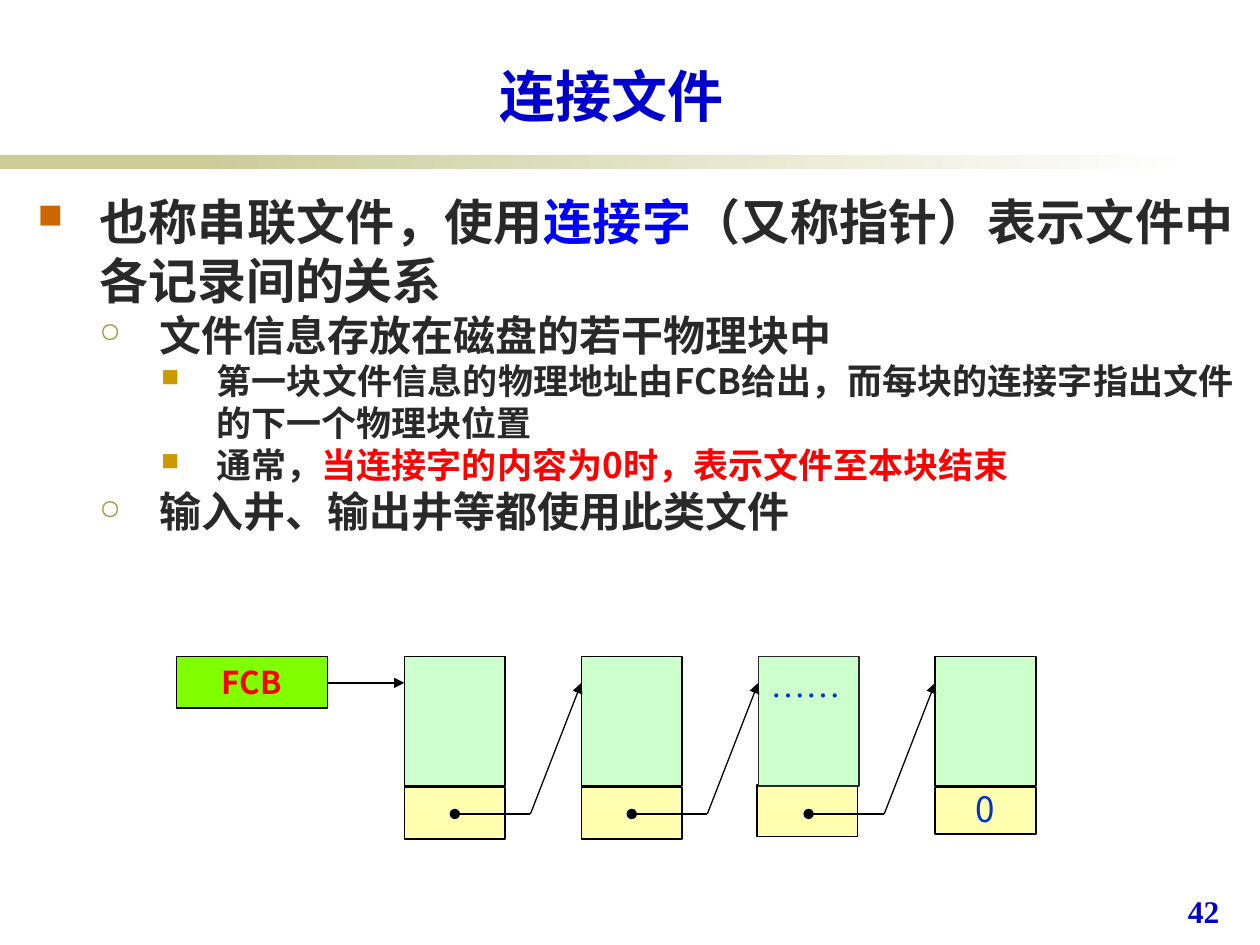
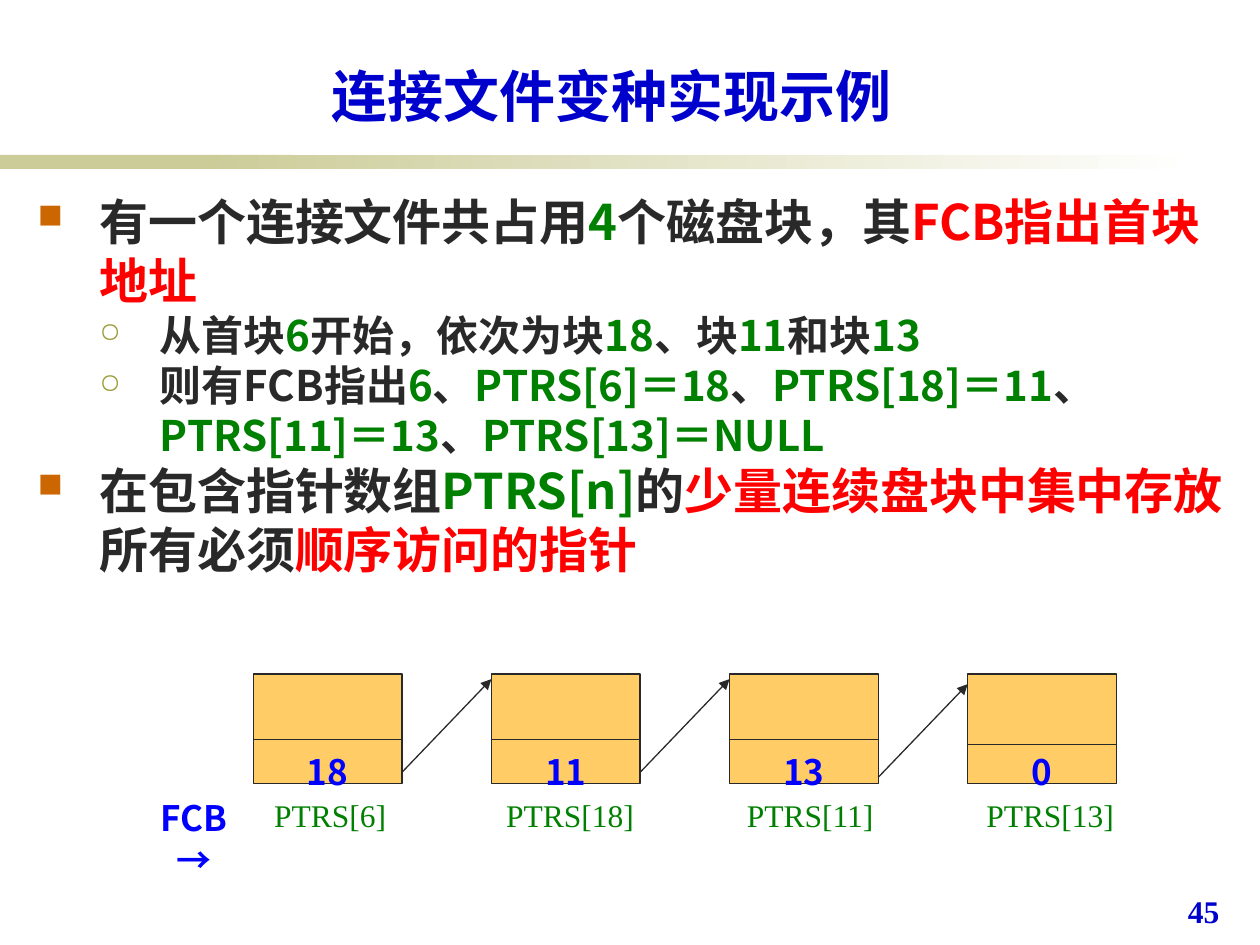
from pptx import Presentation
from pptx.dml.color import RGBColor
from pptx.enum.shapes import MSO_CONNECTOR as Connector, MSO_SHAPE as Preset
from pptx.enum.text import MSO_ANCHOR as Anchor, PP_ALIGN as Align
from pptx.oxml.ns import qn
from pptx.util import Inches, Pt
from lxml.etree import SubElement

SANS, SERIF = "Noto Sans CJK JP", "Times New Roman"
WIDTH, HEIGHT = 10, 7.5
COLORS = {
    "band": "CCCC99", "white": "FFFFFF", "title": "0000CC", "text": "292929",
    "blue": "0000FF", "red": "FF0000", "green": "008000", "black": "000000",
    "record": "CCFFCC", "link": "FFFFB0", "fcb": "80FF00", "note": "0033CC",
    "block": "FFCC66", "square": "CC6600", "circle": "999933", "small": "CC9900",
}
LEVELS = [
    {"size": 28, "left": 0.49, "hang": 0.49, "bullet": "■", "color": "square", "percent": 70},
    {"size": 24, "left": 0.97, "hang": 0.48, "bullet": "○", "color": "circle", "percent": 65},
    {"size": 20, "left": 1.42, "hang": 0.44, "bullet": "■", "color": "small", "percent": 70},
]

LINKED_TITLE, LINKED_NUMBER = "连接文件", "42"
LINKED_BODY = [
    (0, [("也称串联文件，使用", "text"), ("连接字", "blue"),
         ("（又称指针）表示文件中各记录间的关系", "text")]),
    (1, [("文件信息存放在磁盘的若干物理块中", "text")]),
    (2, [("第一块文件信息的物理地址由FCB给出，而每块的连接字指出文件的下一个物理块位置", "text")]),
    (2, [("通常，", "text"), ("当连接字的内容为0时，表示文件至本块结束", "red")]),
    (1, [("输入井、输出井等都使用此类文件", "text")]),
]
RECORDS = [
    {"text": "", "link": "", "shift": 0, "height": 0.41, "line": "black"},
    {"text": "", "link": "", "shift": 0, "height": 0.41, "line": "black"},
    {"text": "……", "link": "", "shift": -0.01, "height": 0.41, "line": "text"},
    {"text": "", "link": "0", "shift": 0, "height": 0.37, "line": "black"},
]

VARIANT_TITLE, VARIANT_NUMBER = "连接文件变种实现示例", "45"
VARIANT_BODY = [
    (0, [("有一个连接文件共占用", "text"), ("4", "green"), ("个磁盘块，其", "text"),
         ("FCB指出首块地址", "red")]),
    (1, [("从首块", "text"), ("6", "green"), ("开始，依次为块", "text"), ("18", "green"),
         ("、块", "text"), ("11", "green"), ("和块", "text"), ("13", "green")]),
    (1, [("则有FCB指出", "text"), ("6", "green"), ("、", "text"), ("PTRS[6]＝18", "green"),
         ("、", "text"), ("PTRS[18]＝11", "green"), ("、", "text"),
         ("PTRS[11]＝13", "green"), ("、", "text"), ("PTRS[13]＝NULL", "green")]),
    (0, [("在包含指针数组", "text"), ("PTRS[n]", "green"), ("的", "text"),
         ("少量连续盘块中集中存放", "red"), ("所有必须", "text"), ("顺序访问的指针", "red")]),
]
BLOCKS = [("18", "PTRS[6]", 0), ("11", "PTRS[18]", 0),
          ("13", "PTRS[11]", 0), ("0", "PTRS[13]", 0.04)]


def rgb(name):
    return RGBColor.from_string(COLORS[name])


def add_run(paragraph, text, size, color, font=SANS, bold=False):
    run = paragraph.add_run()
    run.text = text
    run.font.name, run.font.size, run.font.bold = font, Pt(size), bold
    run.font.color.rgb = rgb(color)
    SubElement(run._r.get_or_add_rPr(), qn("a:ea")).set("typeface", font)


def set_frame(shape, anchor=Anchor.TOP, margins=(0.1, 0.05, 0.1, 0.05), wrap=True):
    frame = shape.text_frame
    frame.word_wrap, frame.vertical_anchor = wrap, anchor
    (frame.margin_left, frame.margin_top,
     frame.margin_right, frame.margin_bottom) = map(Inches, margins)
    return frame


def add_label(slide, box, text, size, color, font=SANS, bold=False,
              align=Align.CENTER, **layout):
    shape = slide.shapes.add_textbox(*map(Inches, box))
    paragraph = set_frame(shape, **layout).paragraphs[0]
    paragraph.alignment = align
    add_run(paragraph, text, size, color, font, bold)


def add_box(slide, box, fill, line=None):
    shape = slide.shapes.add_shape(Preset.RECTANGLE, *map(Inches, box))
    shape.shadow.inherit = False
    shape.fill.solid()
    shape.fill.fore_color.rgb = rgb(fill)
    if line:
        shape.line.color.rgb = rgb(line)
        shape.line.width = Pt(0.75)
    else:
        shape.line.fill.background()
    return shape


def fill_box(shape, text, size, color, font=SANS, bold=False, align=Align.CENTER, **layout):
    paragraph = set_frame(shape, **layout).paragraphs[0]
    paragraph.alignment = align
    add_run(paragraph, text, size, color, font, bold)


def add_line(slide, start, end, color, head=None, tail=None):
    connector = slide.shapes.add_connector(
        Connector.STRAIGHT, *map(Inches, (*start, *end)))
    connector.line.color.rgb = rgb(color)
    connector.line.width = Pt(0.75)
    outline = connector.line._get_or_add_ln()
    for tag, kind in (("a:headEnd", head), ("a:tailEnd", tail)):
        if kind:
            SubElement(outline, qn(tag)).set("type", kind)
    SubElement(connector._element.spPr, qn("a:effectLst"))


def add_bullet(paragraph, level):
    properties = paragraph._p.get_or_add_pPr()
    properties.set("marL", str(Inches(level["left"])))
    properties.set("indent", str(-Inches(level["hang"])))
    color = SubElement(properties, qn("a:buClr"))
    SubElement(color, qn("a:srgbClr")).set("val", COLORS[level["color"]])
    SubElement(properties, qn("a:buSzPct")).set("val", str(level["percent"] * 1000))
    SubElement(properties, qn("a:buChar")).set("char", level["bullet"])


def add_base(presentation, title, number, body, align):
    slide = presentation.slides.add_slide(presentation.slide_layouts[6])
    add_box(slide, (0, 1.23, 2.33, 0.11), "band")
    fade = add_box(slide, (1.58, 1.23, 7.92, 0.11), "band")
    fade.fill.gradient()
    fade.fill.gradient_angle = 0
    for stop, color in zip(fade.fill.gradient_stops, ("band", "white")):
        stop.color.rgb = rgb(color)
    add_label(slide, (0.83, 0.44, 8.05, 0.63), title, 32, "title", bold=True,
              anchor=Anchor.BOTTOM)
    frame = set_frame(slide.shapes.add_textbox(*map(Inches, (0.2, 1.47, 9.69, 5.43))))
    for index, (depth, runs) in enumerate(body):
        paragraph = frame.add_paragraph() if index else frame.paragraphs[0]
        paragraph.alignment, paragraph.level = align, depth
        add_bullet(paragraph, LEVELS[depth])
        for text, color in runs:
            add_run(paragraph, text, LEVELS[depth]["size"], color, bold=True)
    add_label(slide, (9.33, 7.03, 0.64, 0.5), number, 18, "title", SERIF, True, Align.LEFT)
    return slide


def draw_records(slide):
    left, top, width, pitch, record_height = 3.21, 5.21, 0.8, 1.404, 1.03
    entry, pointer = 5.42, 6.46
    flat = (0, 0, 0, 0)
    fcb = add_box(slide, (1.4, top, 1.2, 0.41), "fcb", "black")
    fill_box(fcb, "FCB", 18, "red", bold=True, anchor=Anchor.MIDDLE, margins=flat)
    add_line(slide, (2.6, entry), (left, entry), "black", tail="triangle")
    for index, record in enumerate(RECORDS):
        x = left + index * pitch
        shift = record["shift"]
        link = add_box(slide, (x + shift, 6.25 + 2 * shift, width, record["height"]),
                       "link", "black")
        if record["link"]:
            fill_box(link, record["link"], 20, "note", margins=flat)
        data = add_box(slide, (x, top, width, record_height), "record", record["line"])
        if record["text"]:
            fill_box(data, record["text"], 20, "note", SERIF, align=Align.JUSTIFY)
    for index in range(len(RECORDS) - 1):
        x = left + index * pitch + width / 2
        bend = (x + 0.6, pointer)
        add_line(slide, (x, pointer), bend, "black", head="oval")
        add_line(slide, bend, (left + (index + 1) * pitch, entry), "black", tail="triangle")


def draw_blocks(slide):
    left, top, width, height, pitch = 2.01, 5.35, 1.18, 0.87, 1.89
    for index, (pointer, name, drop) in enumerate(BLOCKS):
        x = left + index * pitch
        block = add_box(slide, (x, top, width, height), "block", "text")
        fill_box(block, pointer, 20, "blue", bold=True, anchor=Anchor.MIDDLE,
                 margins=(0.1, 0.67, 0.1, 0), wrap=False)
        divider = top + 0.52 + drop
        add_line(slide, (x, divider), (x + width, divider), "text")
        add_label(slide, (2.005 + index * 1.905, 6.27, 1.23, 0.4), name, 18, "green",
                  SERIF, wrap=False)
        if index:
            add_line(slide, (x - pitch + width, 6.13 + drop), (x, 5.39 + drop),
                     "text", tail="triangle")
    add_label(slide, (1.05, 6.27, 0.98, 0.75), "FCB→", 20, "blue", bold=True)


presentation = Presentation()
presentation.slide_width, presentation.slide_height = Inches(WIDTH), Inches(HEIGHT)
draw_records(add_base(presentation, LINKED_TITLE, LINKED_NUMBER, LINKED_BODY, Align.JUSTIFY))
draw_blocks(add_base(presentation, VARIANT_TITLE, VARIANT_NUMBER, VARIANT_BODY, Align.LEFT))
presentation.save("out.pptx")
